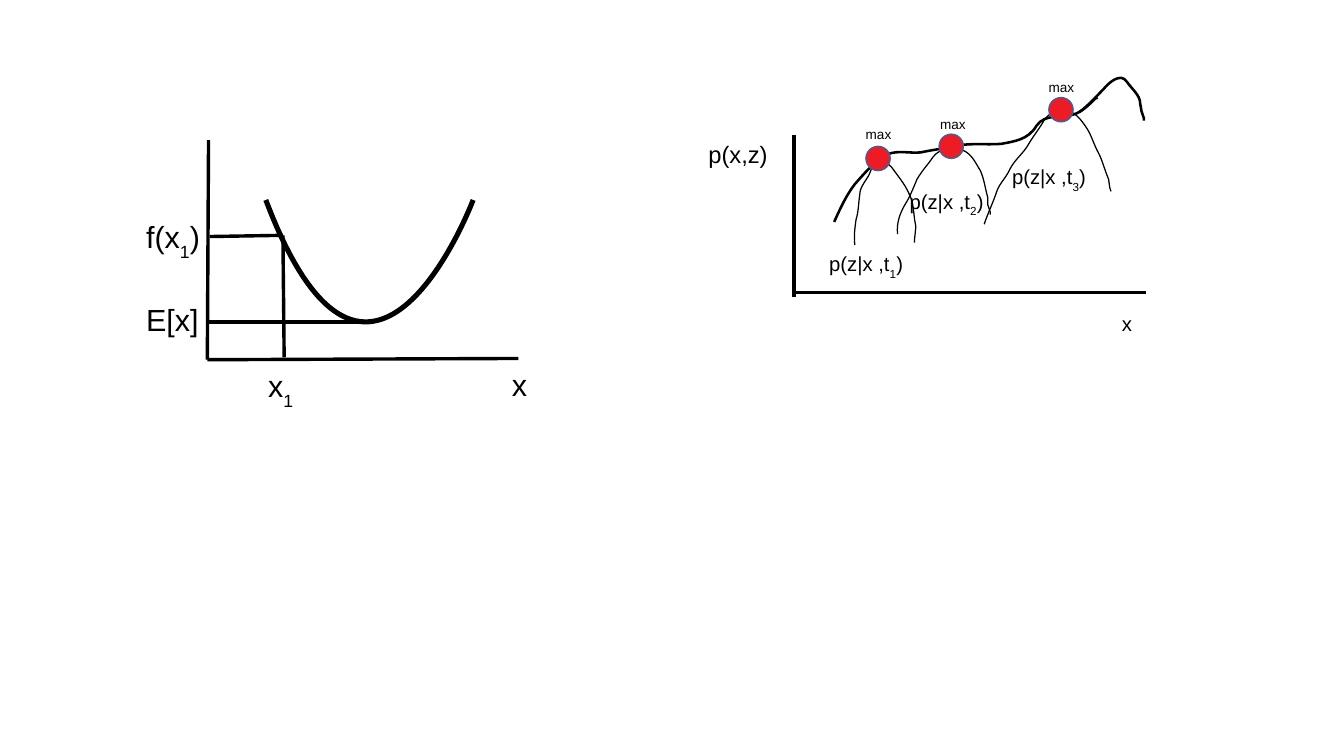
from dataclasses import dataclass

from lxml import etree
from pptx import Presentation
from pptx.dml.color import RGBColor
from pptx.enum.shapes import MSO_CONNECTOR, MSO_SHAPE
from pptx.enum.text import MSO_AUTO_SIZE
from pptx.oxml.ns import qn
from pptx.util import Emu, Pt

PX = 9144  # 100 px to the inch
STRAIGHT, ELLIPSE = MSO_CONNECTOR.STRAIGHT, MSO_SHAPE.OVAL
FIT_TEXT = MSO_AUTO_SIZE.SHAPE_TO_FIT_TEXT
BLACK, RED, BLUE = "000000", "ED1C24", "3465A4"
FONT = "Arial"
DOT_SIZE = 20
SAMPLES = 24

Point = tuple[int, int]
Bezier = tuple[int, int, int, int, int, int]


@dataclass(frozen=True)
class Curve:
    start: Point
    beziers: tuple[Bezier, ...]
    tail: tuple[Point, ...] = ()
    weight: float = 0


@dataclass(frozen=True)
class Label:
    x: int
    y: int
    w: int
    h: int
    text: str
    size: int
    sub: str = ""
    after: str = ""


PARABOLA = Curve((218, 164), ((303, 389, 388, 164, 388, 164),), weight=3)
ENVELOPE = Curve((684, 182), (
    (689, 171, 694, 160, 701, 151), (708, 143, 715, 135, 723, 129),
    (733, 122, 744, 126, 755, 125), (764, 123, 773, 122, 782, 120),
    (795, 117, 808, 119, 821, 118), (831, 116, 843, 115, 850, 103),
    (857, 93, 870, 97, 880, 94), (887, 92, 893, 86, 898, 81),
), ((900, 80),), 1.5)
DENSITY_1 = Curve((701, 201), (
    (700, 194, 701, 187, 702, 180), (704, 174, 704, 166, 705, 160),
    (705, 152, 712, 147, 714, 140), (716, 132, 726, 131, 731, 137),
    (736, 144, 742, 151, 745, 158), (749, 165, 749, 173, 750, 180),
), ((751, 186), (750, 196), (750, 199)))
DENSITY_2 = Curve((736, 192), (
    (735, 183, 738, 175, 742, 168), (746, 162, 749, 154, 752, 147),
    (756, 140, 761, 135, 765, 129), (770, 122, 780, 120, 789, 123),
    (797, 126, 800, 134, 804, 140), (807, 147, 808, 155, 810, 162),
), ((810, 168), (812, 174), (812, 176)))
ENVELOPE_END = Curve((885, 92), (
    (893, 86, 899, 79, 905, 73), (909, 68, 919, 59, 924, 67),
    (928, 73, 935, 78, 935, 85),
), ((936, 91), (938, 97), (938, 99)), 1.5)
DENSITY_3 = Curve((807, 184), (
    (810, 175, 814, 167, 817, 158), (819, 151, 825, 146, 828, 139),
    (832, 131, 839, 126, 843, 119), (847, 112, 852, 106, 856, 99),
    (860, 92, 868, 90, 875, 91), (882, 92, 887, 99, 891, 105),
    (895, 111, 897, 119, 901, 126), (904, 132, 906, 140, 909, 147),
), ((910, 154), (911, 157)))
CURVES = (PARABOLA, ENVELOPE, DENSITY_1, DENSITY_2, ENVELOPE_END, DENSITY_3)

PARABOLA_LINES = (
    (170, 295, 425, 294), (170, 295, 171, 115), (303, 264, 171, 264),
    (232, 193, 172, 194), (232, 193, 233, 293),
)
DENSITY_AXES = ((650, 240, 940, 240), (651, 244, 651, 111))

LABELS = (
    Label(110, 242, 80, 38, "E[x]", 18),
    Label(110, 174, 80, 44, "f(x", 18, "1", ")"),
    Label(210, 296, 80, 44, "x", 18, "1"),
    Label(410, 295, 80, 38, "x", 18),
    Label(571, 110, 80, 32, "p(x,z)", 14),
    Label(910, 250, 32, 38, "x", 12),
    *(Label(x, y, 150, 72, "p(z|x ,t", 12, sub, ")")
      for x, y, sub in ((670, 201, "1"), (736, 150, "2"), (820, 130, "3"))),
    *(Label(x, y, 150, 72, "max", 8)
      for x, y in ((700, 98), (761, 90), (850, 60))),
)
DOTS = ((710, 120), (770, 110), (860, 80))


def px(n: float) -> Emu:
    return Emu(round(n * PX))


def rgb(color: str) -> RGBColor:
    return RGBColor.from_string(color)


def set_line(s, color: str, weight: float) -> None:
    s.line.color.rgb = rgb(color)
    s.line.width = Pt(weight)


def add_line(shapes, x1: int, y1: int, x2: int, y2: int) -> None:
    s = shapes.add_connector(STRAIGHT, px(x1), px(y1), px(x2), px(y2))
    set_line(s, BLACK, 0)
    etree.SubElement(s._element.spPr, qn("a:effectLst"))


def trace(curve: Curve) -> list[tuple[float, float]]:
    """Return points lying on the curve, which give its true bounds."""
    points, (x, y) = [], curve.start
    for x1, y1, x2, y2, x3, y3 in curve.beziers:
        for i in range(1, SAMPLES + 1):
            t = i / SAMPLES
            a, b, c, d = (1 - t)**3, 3 * t * (1 - t)**2, 3 * t**2 * (1 - t), t**3
            points.append((a * x + b * x1 + c * x2 + d * x3,
                           a * y + b * y1 + c * y2 + d * y3))
        x, y = x3, y3
    return points + list(curve.tail)


def add_curve(shapes, curve: Curve) -> None:
    """Build an open freeform and give its path real Bezier segments."""
    builder = shapes.build_freeform(*curve.start, scale=PX)
    builder.add_line_segments(trace(curve), close=False)
    s = builder.convert_to_shape()
    s.shadow.inherit = False
    s.fill.background()
    set_line(s, BLACK, curve.weight)

    path = s._element.find(f".//{qn('a:path')}")
    path.set("w", str(s.width))
    path.set("h", str(s.height))
    for segment in list(path):
        path.remove(segment)

    def add_segment(tag: str, *coords: int) -> None:
        segment = etree.SubElement(path, qn(tag))
        for x, y in zip(coords[::2], coords[1::2]):
            etree.SubElement(segment, qn("a:pt"),
                             x=str(px(x) - s.left), y=str(px(y) - s.top))

    add_segment("a:moveTo", *curve.start)
    for bezier in curve.beziers:
        add_segment("a:cubicBezTo", *bezier)
    for point in curve.tail:
        add_segment("a:lnTo", *point)


def add_dot(shapes, x: int, y: int) -> None:
    s = shapes.add_shape(ELLIPSE, px(x), px(y), px(DOT_SIZE), px(DOT_SIZE))
    s.shadow.inherit = False
    s.fill.solid()
    s.fill.fore_color.rgb = rgb(RED)
    set_line(s, BLUE, 0)


def add_run(p, text: str, *, size: int, color: str = BLACK, baseline: int = 0) -> None:
    r = p.add_run()
    r.text = text
    r.font.name, r.font.size = FONT, Pt(size)
    r.font.color.rgb = rgb(color)
    if baseline:
        r.font._element.set("baseline", str(baseline * 1000))


def add_label(shapes, label: Label) -> None:
    tf = shapes.add_textbox(px(label.x), px(label.y), px(label.w), px(label.h)).text_frame
    tf.word_wrap = True
    tf.auto_size = FIT_TEXT
    p = tf.paragraphs[0]
    for text, baseline in ((label.text, 0), (label.sub, -33), (label.after, 0)):
        if text:
            add_run(p, text, size=label.size, baseline=baseline)


def main() -> None:
    prs = Presentation()
    prs.slide_width, prs.slide_height = px(1102), px(620)
    shapes = prs.slides.add_slide(prs.slide_layouts[6]).shapes
    for line in PARABOLA_LINES + DENSITY_AXES:
        add_line(shapes, *line)
    for curve in CURVES:
        add_curve(shapes, curve)
    for dot in DOTS:
        add_dot(shapes, *dot)
    for label in LABELS:
        add_label(shapes, label)
    prs.save("out.pptx")


if __name__ == "__main__":
    main()
